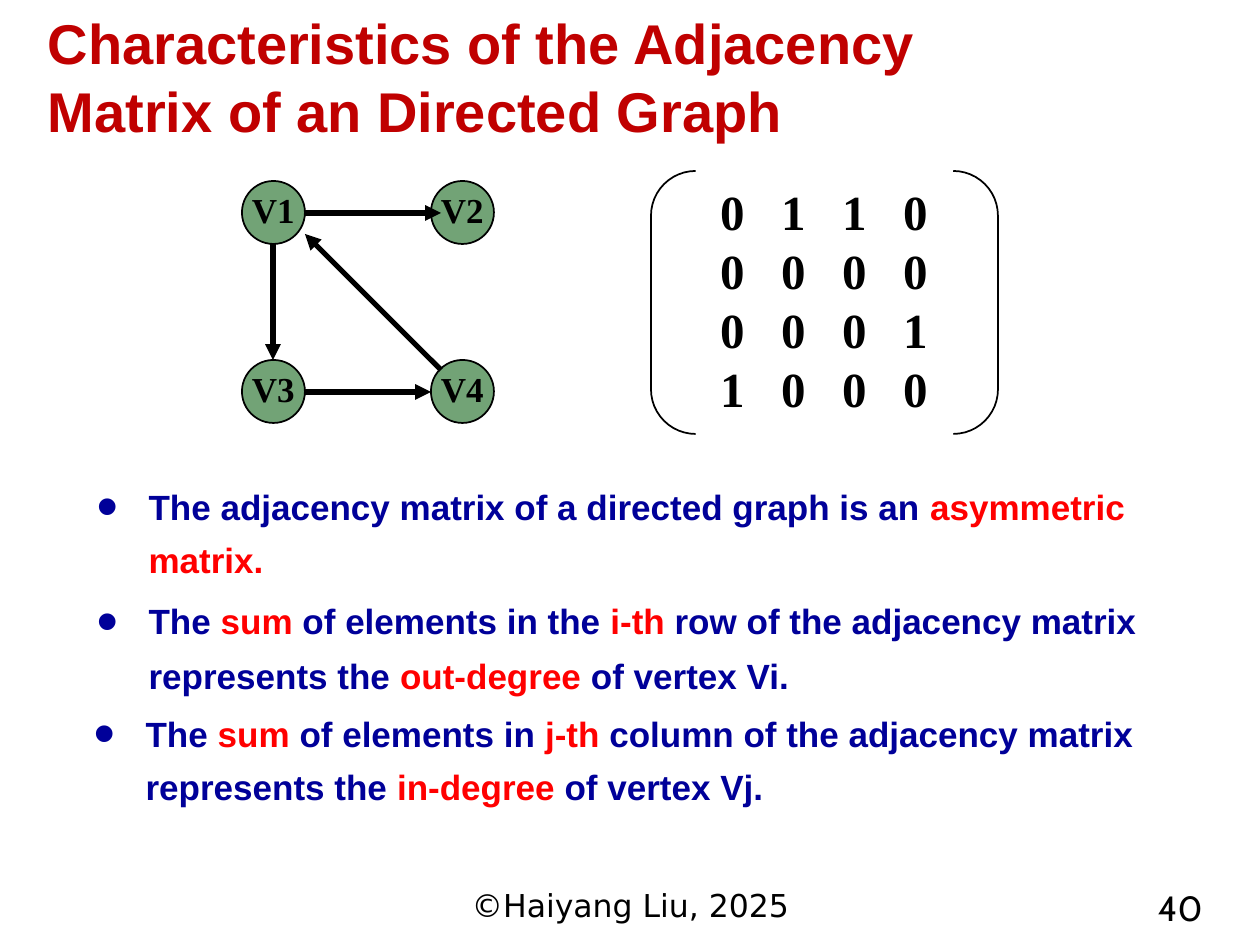
from lxml import etree
from pptx import Presentation
from pptx.dml.color import RGBColor
from pptx.enum.shapes import MSO_CONNECTOR, MSO_SHAPE
from pptx.enum.text import MSO_ANCHOR, MSO_AUTO_SIZE, PP_ALIGN
from pptx.oxml.ns import qn
from pptx.util import Emu, Pt

OVAL, BRACKETS = MSO_SHAPE.OVAL, MSO_SHAPE.DOUBLE_BRACKET
STRAIGHT = MSO_CONNECTOR.STRAIGHT
LEFT, CENTER, RIGHT = PP_ALIGN.LEFT, PP_ALIGN.CENTER, PP_ALIGN.RIGHT
TOP, MIDDLE = MSO_ANCHOR.TOP, MSO_ANCHOR.MIDDLE
NO_AUTOFIT = MSO_AUTO_SIZE.NONE

# Content: "*" marks the highlighted pieces of a bullet
TITLE = "Characteristics of the Adjacency Matrix of an Directed Graph"
BULLET_BOXES = [  # bullets: line spacing, points before, pieces
    {"box": (84, 469, 1142, 237), "bullets": [
        (1.25, 0, ["The adjacency matrix of a directed graph is an ",
                   "*asymmetric matrix."]),
        (1.3, 4, ["The ", "*sum", " of elements in the ", "*i-th",
                  " row of the adjacency matrix represents the ",
                  "*out-degree", " of vertex Vi."]),
    ]},
    {"box": (81, 696, 1142, 118), "bullets": [
        (1.25, 0, ["The ", "*sum", " of elements in ", "*j-th ",
                   "column of the adjacency matrix represents the ",
                   "*in-degree", " of vertex Vj."]),
    ]},
]
VERTICES = [["V1", "V2"], ["V3", "V4"]]
EDGES = [  # start and end points
    ((273, 244), (273, 360)),
    ((305, 213), (441, 213)),
    ((305, 392), (431, 392)),
    ((441, 370), (305, 234)),
]
MATRIX = [[0, 1, 1, 0], [0, 0, 0, 0], [0, 0, 0, 1], [1, 0, 0, 0]]
FOOTERS = [
    ("©Haiyang Liu, 2025", (431, 880, 399, 49), CENTER, "copyright"),
    ("40", (1022, 880, 193, 49), RIGHT, "number"),
]

THEME = {
    "vertex_fill": RGBColor(0x72, 0xA3, 0x76),
    "line": RGBColor(0, 0, 0),
    # text styles: font, size, colour, bold
    "title": ("Arial", 32, RGBColor(0xC0, 0, 0), True),
    "body": ("Arial", 20, RGBColor(0, 0, 0x99), True),
    "highlight": ("Arial", 20, RGBColor(0xFF, 0, 0), True),
    "vertex": ("Times New Roman", 20, RGBColor(0, 0, 0), True),
    "matrix": ("Times New Roman", 28, RGBColor(0, 0, 0), True),
    "copyright": ("DejaVu Sans", 18, RGBColor(0, 0, 0), False),
    "number": ("Cabin", 20, RGBColor(0, 0, 0), False),
}

# Layout in px, 126 to the inch
TITLE_BOX = (35, 26, 992, 100)
GRAPH_LEFT, GRAPH_TOP, VERTEX_SIZE = 242, 181, 63
VERTEX_STEP_X, VERTEX_STEP_Y = 189, 179
MATRIX_BOX = (651, 171, 347, 263)
MATRIX_INSET, MATRIX_STEP = 56, 61
BULLET_INDENT = 52


def px(length):
    return Emu(round(length * 914400 / 126))


def place(shape, box):
    shape.left, shape.top, shape.width, shape.height = map(px, box)


def add_run(paragraph, text, style):
    run = paragraph.add_run()
    run.text = text
    font = run.font
    font.name, size, font.color.rgb, font.bold = THEME[style]
    font.size = Pt(size)


def set_frame(frame, anchor, wrap=True):
    frame.auto_size = NO_AUTOFIT
    frame.vertical_anchor = anchor
    frame.word_wrap = wrap


def add_outlined(slide, preset, box, wrap):
    shape = slide.shapes.add_shape(preset, *map(px, box))
    shape.shadow.inherit = False
    shape.line.color.rgb = THEME["line"]
    shape.line.width = Pt(1)
    set_frame(shape.text_frame, MIDDLE, wrap)
    shape.text_frame.margin_top = 0
    return shape


def add_bullet(paragraph):
    properties = paragraph._p.get_or_add_pPr()
    properties.set("marL", str(px(BULLET_INDENT)))
    properties.set("indent", str(-px(BULLET_INDENT)))
    for tag, name, value in (("a:buSzPct", "val", "175000"),
                             ("a:buFont", "typeface", "Arial"),
                             ("a:buChar", "char", "•")):
        etree.SubElement(properties, qn(tag)).set(name, value)


def add_tabs(paragraph, step, count):
    tabs = etree.SubElement(paragraph._p.get_or_add_pPr(), qn("a:tabLst"))
    for index in range(1, count + 1):
        tab = etree.SubElement(tabs, qn("a:tab"))
        tab.set("pos", str(px(step * index)))
        tab.set("algn", "l")


def paragraph_at(frame, index):
    return frame.add_paragraph() if index else frame.paragraphs[0]


def add_title(slide):
    title = slide.shapes.title
    place(title, TITLE_BOX)
    set_frame(title.text_frame, MIDDLE)
    paragraph = title.text_frame.paragraphs[0]
    paragraph.alignment = LEFT
    add_run(paragraph, TITLE, "title")


def add_bullets(placeholder, content):
    place(placeholder, content["box"])
    frame = placeholder.text_frame
    set_frame(frame, TOP)
    for index, (spacing, before, pieces) in enumerate(content["bullets"]):
        paragraph = paragraph_at(frame, index)
        add_bullet(paragraph)
        paragraph.line_spacing = spacing
        paragraph.space_before = Pt(before)
        for piece in pieces:
            style = "highlight" if piece.startswith("*") else "body"
            add_run(paragraph, piece.lstrip("*"), style)


def add_graph(slide):
    for row, names in enumerate(VERTICES):
        for column, name in enumerate(names):
            box = (GRAPH_LEFT + column * VERTEX_STEP_X,
                   GRAPH_TOP + row * VERTEX_STEP_Y, VERTEX_SIZE, VERTEX_SIZE)
            vertex = add_outlined(slide, OVAL, box, False)
            vertex.fill.solid()
            vertex.fill.fore_color.rgb = THEME["vertex_fill"]
            paragraph = vertex.text_frame.paragraphs[0]
            paragraph.alignment = CENTER
            add_run(paragraph, name, "vertex")
    for start, end in EDGES:
        edge = slide.shapes.add_connector(STRAIGHT, *map(px, start + end))
        edge.line.color.rgb = THEME["line"]
        edge.line.width = Pt(3)
        line = edge._element.spPr.find(qn("a:ln"))
        etree.SubElement(line, qn("a:tailEnd")).set("type", "triangle")
        etree.SubElement(edge._element.spPr, qn("a:effectLst"))


def add_matrix(slide):
    brackets = add_outlined(slide, BRACKETS, MATRIX_BOX, True)
    brackets.adjustments[0] = 0.17
    brackets.fill.background()
    frame = brackets.text_frame
    frame.margin_left, frame.margin_right = px(MATRIX_INSET), 0
    for index, values in enumerate(MATRIX):
        paragraph = paragraph_at(frame, index)
        add_tabs(paragraph, MATRIX_STEP, len(values) - 1)
        paragraph.alignment = LEFT
        add_run(paragraph, "\t".join(map(str, values)), "matrix")


def add_footers(slide):
    for text, box, alignment, style in FOOTERS:
        frame = slide.shapes.add_textbox(*map(px, box)).text_frame
        set_frame(frame, TOP)
        frame.paragraphs[0].alignment = alignment
        add_run(frame.paragraphs[0], text, style)


def main():
    presentation = Presentation()
    presentation.slide_width, presentation.slide_height = px(1260), px(945)
    two_content = presentation.slide_layouts[3]
    slide = presentation.slides.add_slide(two_content)
    add_title(slide)
    for index, content in enumerate(BULLET_BOXES, start=1):
        add_bullets(slide.placeholders[index], content)
    add_graph(slide)
    add_matrix(slide)
    add_footers(slide)
    presentation.save("out.pptx")


if __name__ == "__main__":
    main()
